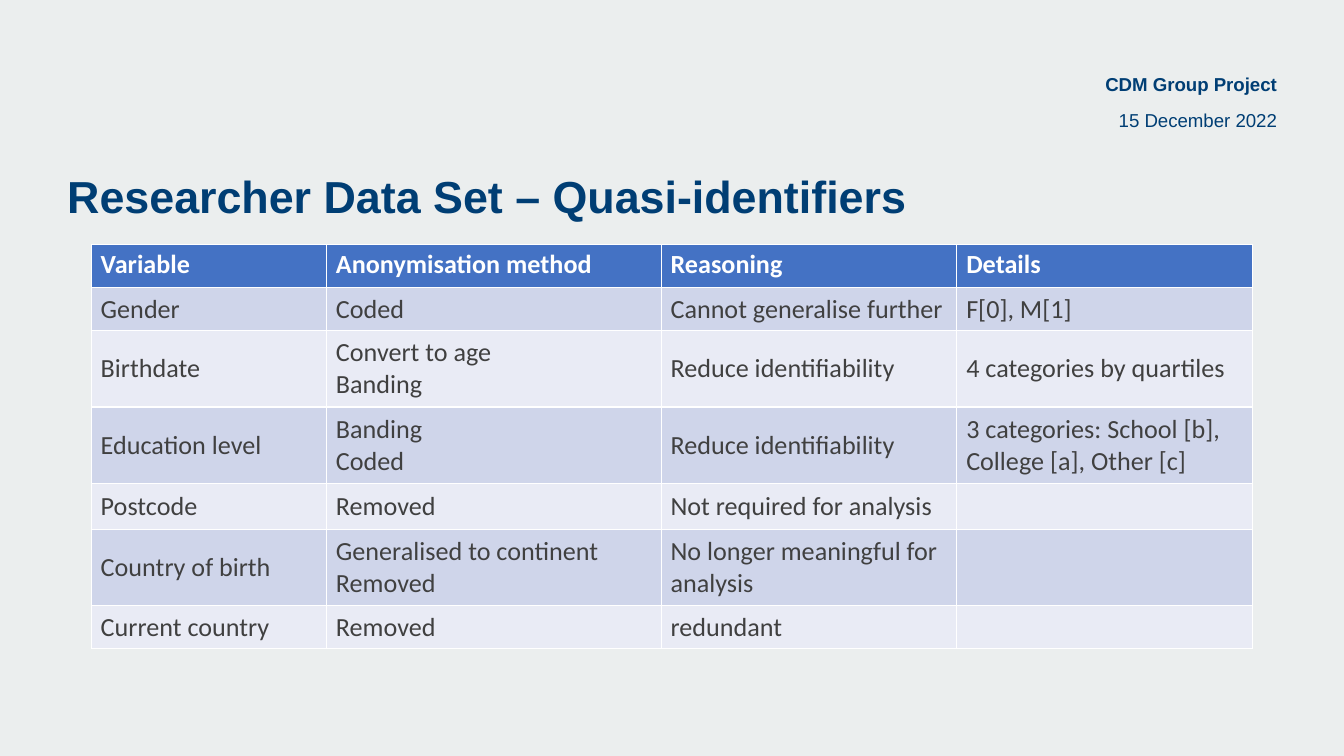
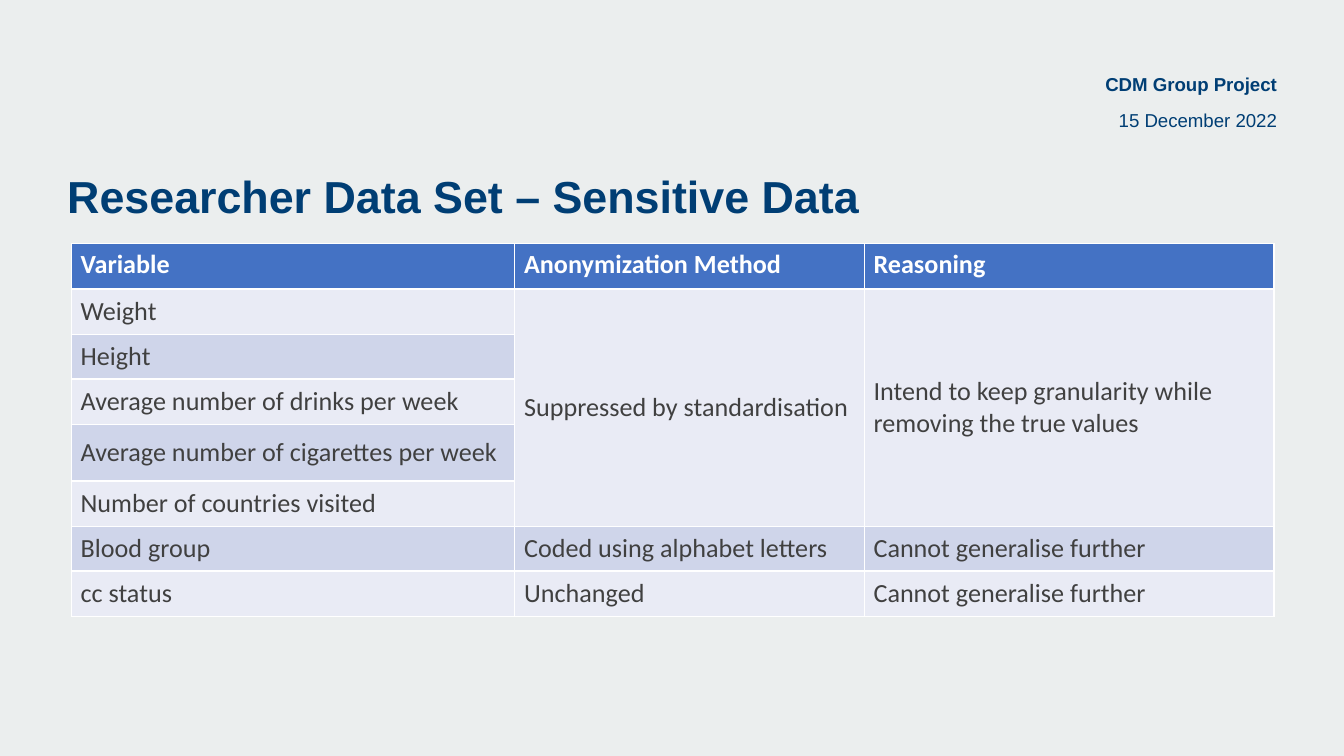
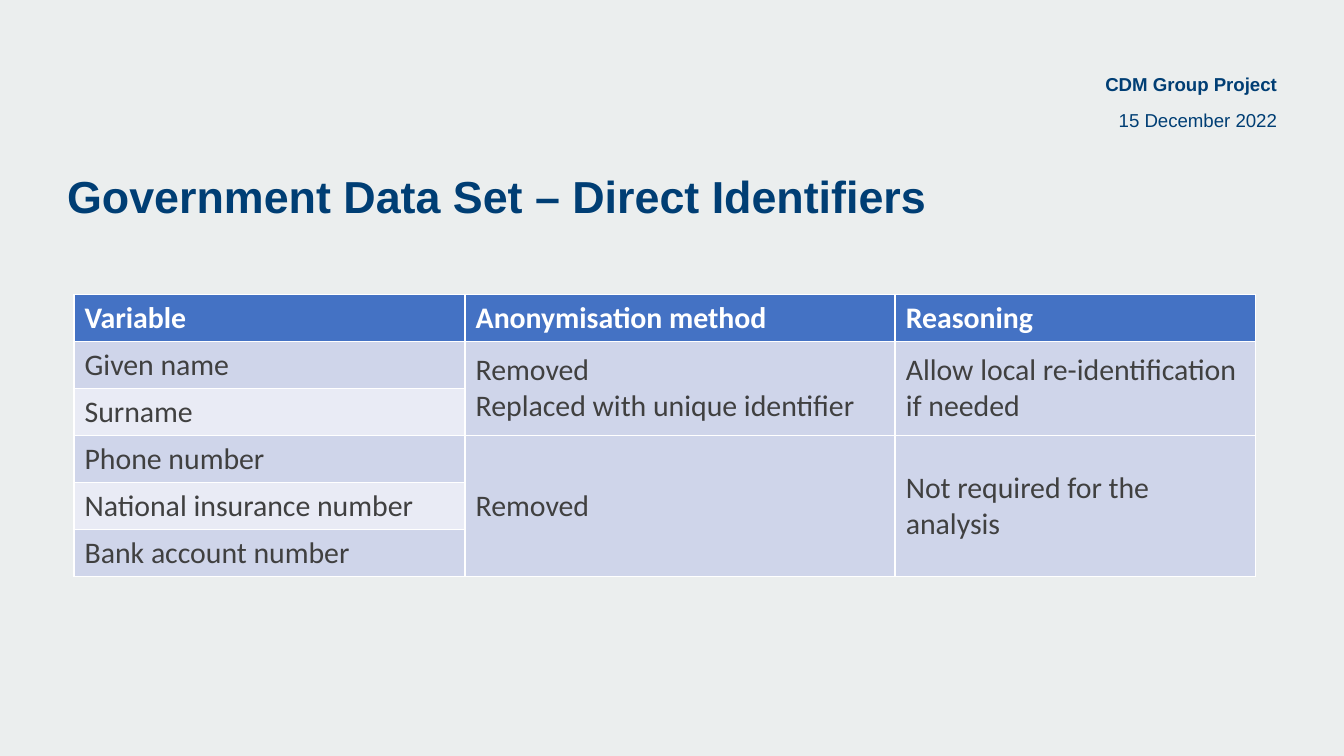
from lxml import etree
from pptx import Presentation
from pptx.dml.color import RGBColor
from pptx.enum import text as t
from pptx.oxml import ns
from pptx.util import Inches, Pt

BACKGROUND = RGBColor(0xEB, 0xEE, 0xEE)
NAVY = RGBColor(0x00, 0x3E, 0x74)
HEADER_BLUE = RGBColor(0x44, 0x72, 0xC4)
DARK_BAND = RGBColor(0xCF, 0xD5, 0xEA)
LIGHT_BAND = RGBColor(0xE9, 0xEB, 0xF5)
WHITE = RGBColor(0xFF, 0xFF, 0xFF)
BODY_GREY = RGBColor(0x40, 0x40, 0x40)

# Each header line: text, left, top, width, height, bold
HEADER_LINES = [
    ("CDM Group Project", 7.17, 0.54, 2.33, 0.26, True),
    ("15 December 2022", 7.92, 0.81, 1.58, 0.21, False),
]

# In the rows, None continues the cell above and a line break starts a paragraph.
SLIDES = [
    {
        "title": "Researcher Data Set – Quasi-identifiers",
        "position": (0.68, 1.82),
        "columns": [1.75, 2.49, 2.2, 2.2],
        "heights": [0.32, 0.32, 0.57, 0.57, 0.34, 0.57, 0.32],
        "size": 14,
        "margins": (0.07, 0.03),
        "bands": (DARK_BAND, LIGHT_BAND),
        "rows": [
            ("Variable", "Anonymisation method", "Reasoning", "Details"),
            ("Gender", "Coded", "Cannot generalise further", "F[0], M[1]"),
            ("Birthdate", "Convert to age\nBanding", "Reduce identifiability",
             "4 categories by quartiles"),
            ("Education level ", "Banding\nCoded", "Reduce identifiability",
             "3 categories: School [b], College [a], Other [c]"),
            ("Postcode", "Removed", "Not required for analysis", ""),
            ("Country of birth", "Generalised to continent\nRemoved",
             "No longer meaningful for analysis", ""),
            ("Current country", "Removed", "redundant", ""),
        ],
    },
    {
        "title": "Researcher Data Set – Sensitive Data",
        "position": (0.53, 1.81),
        "columns": [3.3, 2.6, 3.05],
        "heights": [0.34, 0.34, 0.33, 0.34, 0.42, 0.34, 0.33, 0.34],
        "size": 14,
        "margins": (0.07, 0.04),
        "bands": (LIGHT_BAND, DARK_BAND),
        "rows": [
            ("Variable", "Anonymization Method", "Reasoning"),
            ("Weight ", "Suppressed by standardisation",
             "Intend to keep granularity while removing the true values"),
            ("Height", None, None),
            ("Average number of drinks per week", None, None),
            ("Average number of cigarettes per week", None, None),
            ("Number of countries visited", None, None),
            ("Blood group", "Coded using alphabet letters", "Cannot generalise further"),
            ("cc status", "Unchanged", "Cannot generalise further"),
        ],
    },
    {
        "title": "Government Data Set – Direct Identifiers",
        "position": (0.55, 2.19),
        "columns": [2.91, 3.2, 2.68],
        "heights": [0.35] * 6,
        "size": 16,
        "margins": (0.08, 0.04),
        "bands": (DARK_BAND, LIGHT_BAND),
        "rows": [
            ("Variable", "Anonymisation method", "Reasoning"),
            ("Given name", "Removed\nReplaced with unique identifier",
             "Allow local re-identification if needed"),
            ("Surname", None, None),
            ("Phone number ", "Removed", "Not required for the analysis"),
            ("National insurance number", None, None),
            ("Bank account number", None, None),
        ],
    },
]


def write(frame, content, font_name, size, color, bold):
    """Write one paragraph per line and return the paragraphs."""
    for index, line in enumerate(content.split("\n")):
        paragraph = frame.add_paragraph() if index else frame.paragraphs[0]
        run = paragraph.add_run()
        run.text = line
        run.font.name = font_name
        run.font.size = Pt(size)
        run.font.bold = bold
        run.font.color.rgb = color
    return frame.paragraphs


def add_text_box(slide, content, left, top, width, height, size, bold):
    box = slide.shapes.add_textbox(Inches(left), Inches(top), Inches(width), Inches(height))
    frame = box.text_frame
    frame.word_wrap = True
    frame.margin_left = frame.margin_top = frame.margin_right = frame.margin_bottom = 0
    return frame, write(frame, content, "Arial", size, NAVY, bold)[0]


presentation = Presentation()
presentation.slide_width = Inches(10)
presentation.slide_height = Inches(10) * 9 // 16
master_fill = presentation.slide_master.background.fill
master_fill.solid()
master_fill.fore_color.rgb = BACKGROUND

for content in SLIDES:
    slide = presentation.slides.add_slide(presentation.slide_layouts[6])

    title_frame, _ = add_text_box(slide, content["title"], 0.5, 1.22, 9, 0.42, 24, True)
    title_frame.margin_top = Inches(0.05)
    title_frame.vertical_anchor = t.MSO_ANCHOR.MIDDLE

    for line, left, top, width, height, bold in HEADER_LINES:
        _, paragraph = add_text_box(slide, line, left, top, width, height, 10, bold)
        paragraph.alignment = t.PP_ALIGN.RIGHT
        paragraph.space_before = Pt(2)

    rows, columns, heights = content["rows"], content["columns"], content["heights"]
    left, top = content["position"]
    table = slide.shapes.add_table(
        len(rows), len(columns), Inches(left), Inches(top),
        Inches(sum(columns)), Inches(sum(heights))).table
    for column, width in zip(table.columns, columns):
        column.width = Inches(width)
    for row, height in zip(table.rows, heights):
        row.height = Inches(height)

    side_margin, end_margin = content["margins"]
    for row_index, values in enumerate(rows):
        is_header = row_index == 0
        for column_index, value in enumerate(values):
            cell = table.cell(row_index, column_index)
            cell.margin_left = cell.margin_right = Inches(side_margin)
            cell.margin_top = cell.margin_bottom = Inches(end_margin)
            cell.fill.solid()
            cell.fill.fore_color.rgb = (
                HEADER_BLUE if is_header else content["bands"][(row_index - 1) % 2])
            if not is_header:
                cell.vertical_anchor = t.MSO_ANCHOR.MIDDLE

            properties = cell._tc.get_or_add_tcPr()
            for position, side in enumerate(("lnL", "lnR", "lnT", "lnB")):
                border = etree.Element(ns.qn("a:" + side), w=str(Pt(0.75)))
                fill = etree.SubElement(border, ns.qn("a:solidFill"))
                etree.SubElement(fill, ns.qn("a:srgbClr"), val=str(WHITE))
                properties.insert(position, border)

            if not value:
                # The end mark keeps an empty cell from stretching its row.
                end_mark = etree.SubElement(
                    cell.text_frame.paragraphs[0]._p, ns.qn("a:endParaRPr"))
                end_mark.set("sz", str(content["size"] * 100))
                continue
            write(cell.text_frame, value, "Calibri", content["size"],
                  WHITE if is_header else BODY_GREY, is_header)
            last_row = row_index
            while last_row + 1 < len(rows) and rows[last_row + 1][column_index] is None:
                last_row += 1
            if last_row > row_index:
                cell.merge(table.cell(last_row, column_index))

presentation.save("out.pptx")
